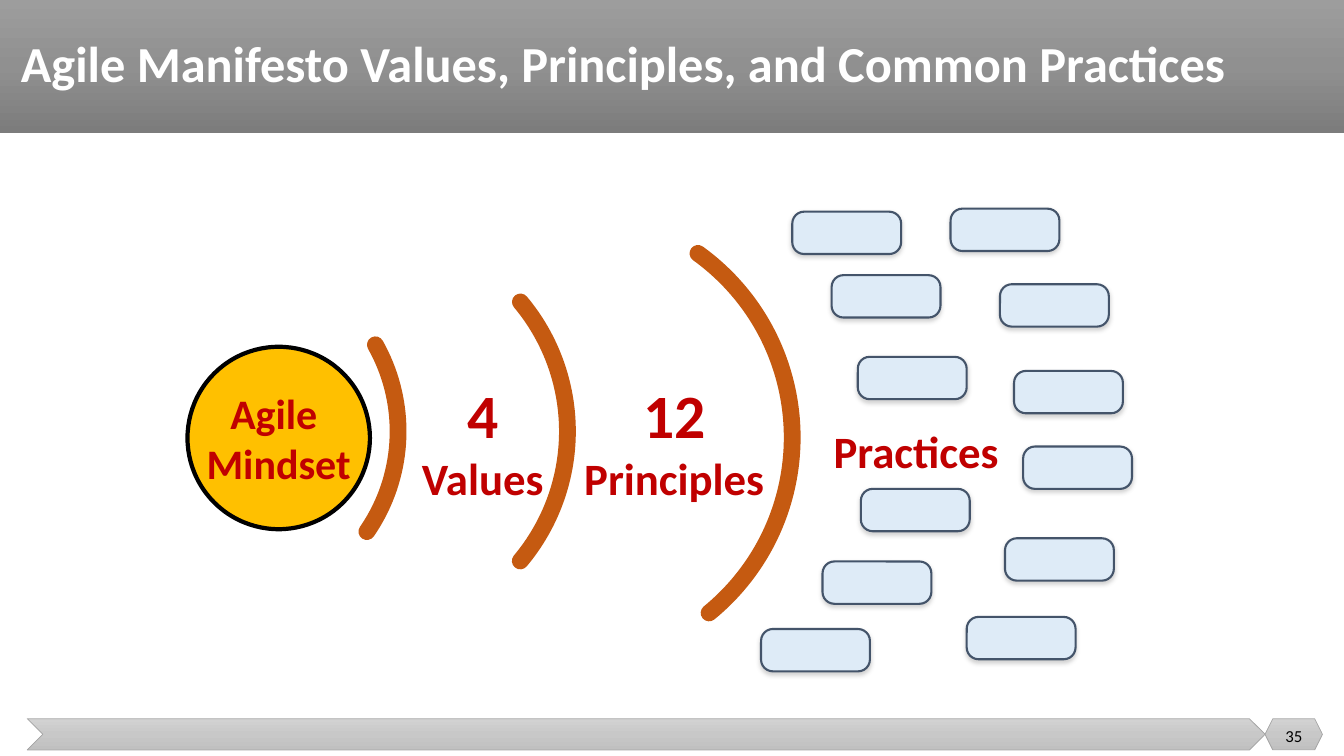
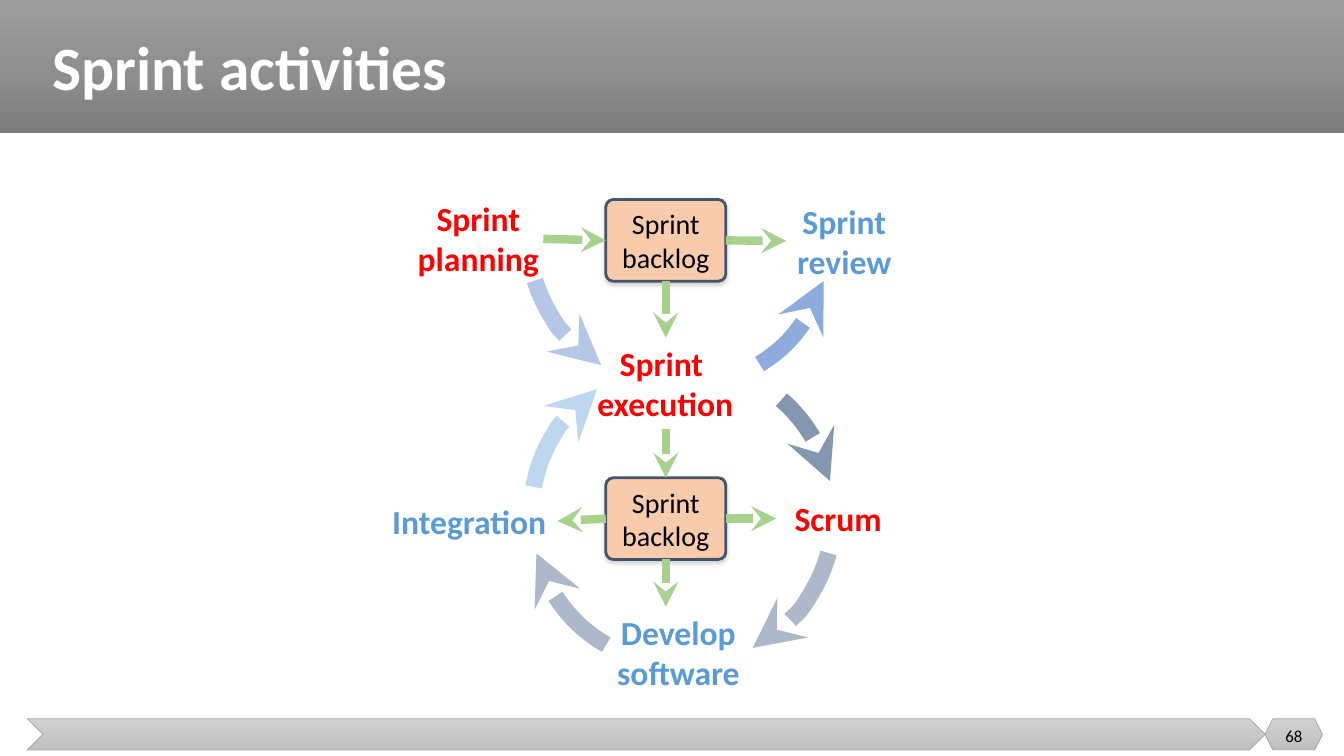
"""Build two Agile slides: values and principles, and sprint activities."""
from dataclasses import dataclass

from lxml import etree
from pptx import Presentation
from pptx.dml.color import RGBColor
from pptx.enum.shapes import MSO_CONNECTOR, MSO_SHAPE
from pptx.enum.text import MSO_ANCHOR, MSO_AUTO_SIZE, PP_ALIGN
from pptx.oxml.ns import qn
from pptx.util import Inches, Pt

RECTANGLE, ROUNDED = MSO_SHAPE.RECTANGLE, MSO_SHAPE.ROUNDED_RECTANGLE
CHEVRON, HEXAGON = MSO_SHAPE.CHEVRON, MSO_SHAPE.HEXAGON
ARC, ELLIPSE = MSO_SHAPE.ARC, MSO_SHAPE.OVAL
STRAIGHT = MSO_CONNECTOR.STRAIGHT
TOP, MIDDLE = MSO_ANCHOR.TOP, MSO_ANCHOR.MIDDLE
LEFT, CENTER = PP_ALIGN.LEFT, PP_ALIGN.CENTER
FIT_SHAPE = MSO_AUTO_SIZE.SHAPE_TO_FIT_TEXT

COLUMNS, ROWS = 133.33, 75
CELL = Inches(0.1)
ARC_UNITS_PER_DEGREE = 0.6


@dataclass(frozen=True)
class Theme:
    font: str = "Calibri"
    band: tuple[str, ...] = ("9D9D9D", "909090", "7C7C7C")
    footer: tuple[str, ...] = ("D2D2D2", "C8C8C8", "C0C0C0")
    footer_line: str = "A5A5A5"
    white: str = "FFFFFF"
    black: str = "000000"
    shadow: str = "808080"
    outline: str = "44546A"
    wave: str = "C55A11"
    mindset: str = "FFC000"
    crimson: str = "C00000"
    practice: str = "DEEBF7"
    backlog: str = "F8CBAD"
    flow: str = "A9D18E"
    red: str = "FF0000"
    blue: str = "5B9BD5"
    number_size: int = 12
    backlog_size: int = 20
    activity_size: int = 24
    mindset_size: int = 30
    caption_size: int = 32
    long_title_size: int = 36
    large_size: int = 44


THEME = Theme()


@dataclass(frozen=True)
class Box:
    left: float
    top: float
    width: float
    height: float

    def lengths(self) -> tuple[int, ...]:
        return tuple(round(cells * CELL) for cells in (self.left, self.top, self.width, self.height))


@dataclass(frozen=True)
class Style:
    size: int
    color: str
    bold: bool = True
    align: int = CENTER
    spacing: float = 1.0


@dataclass(frozen=True)
class Label:
    box: Box
    paragraphs: tuple[str, ...]
    styles: tuple[Style, ...]
    wrap: bool = False


@dataclass(frozen=True)
class Arc:
    left: float
    top: float
    diameter: float
    start: float
    end: float
    color: str
    arrow: str = ""


def rgb(color: str) -> RGBColor:
    return RGBColor.from_string(color)


def write_text(shape, paragraphs, styles, anchor=MIDDLE, wrap=True, inset=None):
    frame = shape.text_frame
    frame.word_wrap = wrap
    frame.vertical_anchor = anchor
    if inset is not None:
        frame.margin_left = frame.margin_right = frame.margin_top = frame.margin_bottom = inset
    for index, (text, style) in enumerate(zip(paragraphs, styles)):
        paragraph = frame.add_paragraph() if index else frame.paragraphs[0]
        paragraph.text = text
        paragraph.alignment = style.align
        paragraph.line_spacing = style.spacing
        font = paragraph.font
        font.name, font.size, font.bold = THEME.font, Pt(style.size), style.bold
        font.color.rgb = rgb(style.color)


def add_text(slide, box: Box, text: str, style: Style):
    write_text(slide.shapes.add_textbox(*box.lengths()), (text,), (style,))


def add_label(slide, label: Label):
    shape = slide.shapes.add_textbox(*label.box.lengths())
    write_text(shape, label.paragraphs, label.styles, TOP, label.wrap)
    shape.text_frame.auto_size = FIT_SHAPE


def add_figure(slide, kind, box: Box, fill: str = "", line: str = "", weight: float = 0):
    shape = slide.shapes.add_shape(kind, *box.lengths())
    shape.shadow.inherit = False
    if fill:
        shape.fill.solid()
        shape.fill.fore_color.rgb = rgb(fill)
    else:
        shape.fill.background()
    if line:
        shape.line.color.rgb = rgb(line)
        shape.line.width = Pt(weight)
    else:
        shape.line.fill.background()
    return shape


def add_gradient(shape, colors: tuple[str, ...]):
    shape.fill.gradient()
    shape.fill.gradient_angle = 270
    stops = next(shape._element.iter(qn("a:gsLst")))
    for stop in list(stops):
        stops.remove(stop)
    for index, color in enumerate(colors):
        position = round(index * 100000 / (len(colors) - 1))
        stop = etree.SubElement(stops, qn("a:gs"), pos=str(position))
        etree.SubElement(stop, qn("a:srgbClr"), val=color)


def add_card(slide, box: Box, fill: str, weight: float, corner: float):
    card = add_figure(slide, ROUNDED, box, fill, THEME.outline, weight)
    card.adjustments[0] = corner
    effects = card._element.spPr.find(qn("a:effectLst"))
    shadow = etree.SubElement(effects, qn("a:outerShdw"), blurRad=str(Pt(3.1)), dist=str(Pt(1.8)),
                              dir="5400000", algn="ctr", rotWithShape="0")
    color = etree.SubElement(shadow, qn("a:srgbClr"), val=THEME.shadow)
    etree.SubElement(color, qn("a:alpha"), val="35000")
    return card


def add_arrowhead(shape, end: str):
    outline = next(shape._element.iter(qn("a:ln")))
    etree.SubElement(outline, qn(f"a:{end}"), type="stealth")


def add_arc(slide, arc: Arc):
    box = Box(arc.left, arc.top, arc.diameter, arc.diameter)
    shape = add_figure(slide, ARC, box, line=arc.color, weight=12)
    shape.adjustments[0] = arc.start * ARC_UNITS_PER_DEGREE
    shape.adjustments[1] = arc.end * ARC_UNITS_PER_DEGREE
    if arc.arrow:
        add_arrowhead(shape, arc.arrow)
    else:
        next(shape._element.iter(qn("a:ln"))).set("cap", "rnd")


def add_flow(slide, start: tuple[float, float], end: tuple[float, float]):
    points = (round(cells * CELL) for cells in (*start, *end))
    connector = slide.shapes.add_connector(STRAIGHT, *points)
    connector.line.color.rgb = rgb(THEME.flow)
    connector.line.width = Pt(6)
    add_arrowhead(connector, "tailEnd")
    etree.SubElement(connector._element.spPr, qn("a:effectLst"))


def add_slide(presentation, title: str, title_box: Box, title_style: Style, number: str):
    slide = presentation.slides.add_slide(presentation.slide_layouts[6])
    add_gradient(add_figure(slide, RECTANGLE, Box(0, 0, COLUMNS, 13.2)), THEME.band)
    for kind, left, width in ((CHEVRON, 2.7, 122.8), (HEXAGON, 125.5, 5.7)):
        box = Box(left, 71.3, width, 3.1)
        add_gradient(add_figure(slide, kind, box, line=THEME.footer_line, weight=0.5), THEME.footer)
    add_text(slide, title_box, title, title_style)
    add_text(slide, Box(125.5, 71, 5.7, 4), number, Style(THEME.number_size, THEME.black, False))
    return slide


def build_values(presentation):
    slide = add_slide(presentation, "Agile Manifesto Values, Principles, and Common Practices",
                      Box(1.1, -0.1, 127.2, 12.6),
                      Style(THEME.long_title_size, THEME.white, align=LEFT), "35")
    for arc in (Arc(33.6, 20.9, 45, 305.76, 50.7, THEME.wave),
                Arc(16.3, 22.8, 40, 320.06, 40, THEME.wave),
                Arc(4.5, 25.3, 35, 330.61, 34.63, THEME.wave)):
        add_arc(slide, arc)
    mindset = add_figure(slide, ELLIPSE, Box(18.6, 34.4, 18.1, 18.1), THEME.mindset, THEME.black, 3)
    write_text(mindset, ("Agile \nMindset",), (Style(THEME.mindset_size, THEME.crimson),),
               wrap=False, inset=0)
    count = Style(THEME.large_size, THEME.crimson)
    caption = Style(THEME.caption_size, THEME.crimson)
    for label in (Label(Box(40.8, 36.9, 14.2, 13.8), ("4", "Values"), (count, caption)),
                  Label(Box(56.9, 36.9, 20, 13.8), ("12", "Principles"), (count, caption)),
                  Label(Box(81.6, 41.5, 18.6, 6.4), ("Practices",), (caption,))):
        add_label(slide, label)
    practices = ((82.5, 27.3), (85.4, 48.5), (99.2, 28.2), (85.1, 35.4), (100.6, 36.8), (101.5, 44.3),
                 (78.6, 21), (99.7, 53.4), (95.9, 61.2), (81.6, 55.7), (75.5, 62.4), (94.3, 20.7))
    for left, top in practices:
        add_card(slide, Box(left, top, 10.8, 4.2), THEME.practice, 1.5, 0.28)


def build_sprint(presentation):
    slide = add_slide(presentation, "Sprint activities", Box(4.2, 2.2, 90, 9.5),
                      Style(THEME.large_size, THEME.white, align=LEFT, spacing=0.9), "68")
    upper, lower = (52.4, 8.4, 30), (52.7, 36, 30)
    for arc in (Arc(*upper, 121.15, 162.82, "B4C7E7", "headEnd"),
                Arc(*upper, 17.37, 57.98, "8FAADC", "headEnd"),
                Arc(*lower, 310.93, 347.36, "8497B0", "tailEnd"),
                Arc(*lower, 14.94, 62.29, "ADB9CA", "tailEnd"),
                Arc(*lower, 190.33, 235.67, "BDD7EE", "tailEnd"),
                Arc(*lower, 120.23, 164.85, "ADB9CA", "tailEnd")):
        add_arc(slide, arc)

    red = Style(THEME.activity_size, THEME.red)
    blue = Style(THEME.activity_size, THEME.blue)
    for label in (Label(Box(78, 19.4, 11.5, 9.1), ("Sprint\nreview",), (blue,)),
                  Label(Box(58.2, 33.5, 15.6, 9.1), ("Sprint \nexecution",), (red,), True),
                  Label(Box(38.7, 19.1, 17.5, 9.1), ("Sprint", "planning"), (red, red), True),
                  Label(Box(37.8, 49.2, 17.5, 5), ("Integration",), (blue,)),
                  Label(Box(60.1, 60.2, 14.4, 9.1), ("Develop\nsoftware",), (blue,)),
                  Label(Box(77.8, 48.9, 10.7, 5), ("Scrum",), (red,))):
        add_label(slide, label)

    left, width, height = 60.1, 11.9, 8.1
    right, middle = left + width, left + width / 2
    first_top, second_top = 19.8, 47.4
    for top in (first_top, second_top):
        card = add_card(slide, Box(left, top, width, height), THEME.backlog, 2, 0.09)
        write_text(card, ("Sprint\nbacklog",), (Style(THEME.backlog_size, THEME.black, False),), inset=0)
    first_row, second_row = first_top + height / 2, second_top + height / 2
    for start, end in (((right, first_row), (78, 23.9)),
                       ((middle, first_top + height), (middle, 33.5)),
                       ((middle, 42.6), (middle, second_top)),
                       ((right, second_row), (77, second_row)),
                       ((middle, second_top + height), (middle, 60.2)),
                       ((left, second_row), (55.3, 51.7)),
                       ((53.9, 23.7), (left, first_row))):
        add_flow(slide, start, end)


def main():
    presentation = Presentation()
    presentation.slide_width = round(COLUMNS * CELL)
    presentation.slide_height = ROWS * CELL
    build_values(presentation)
    build_sprint(presentation)
    presentation.save("out.pptx")


if __name__ == "__main__":
    main()
